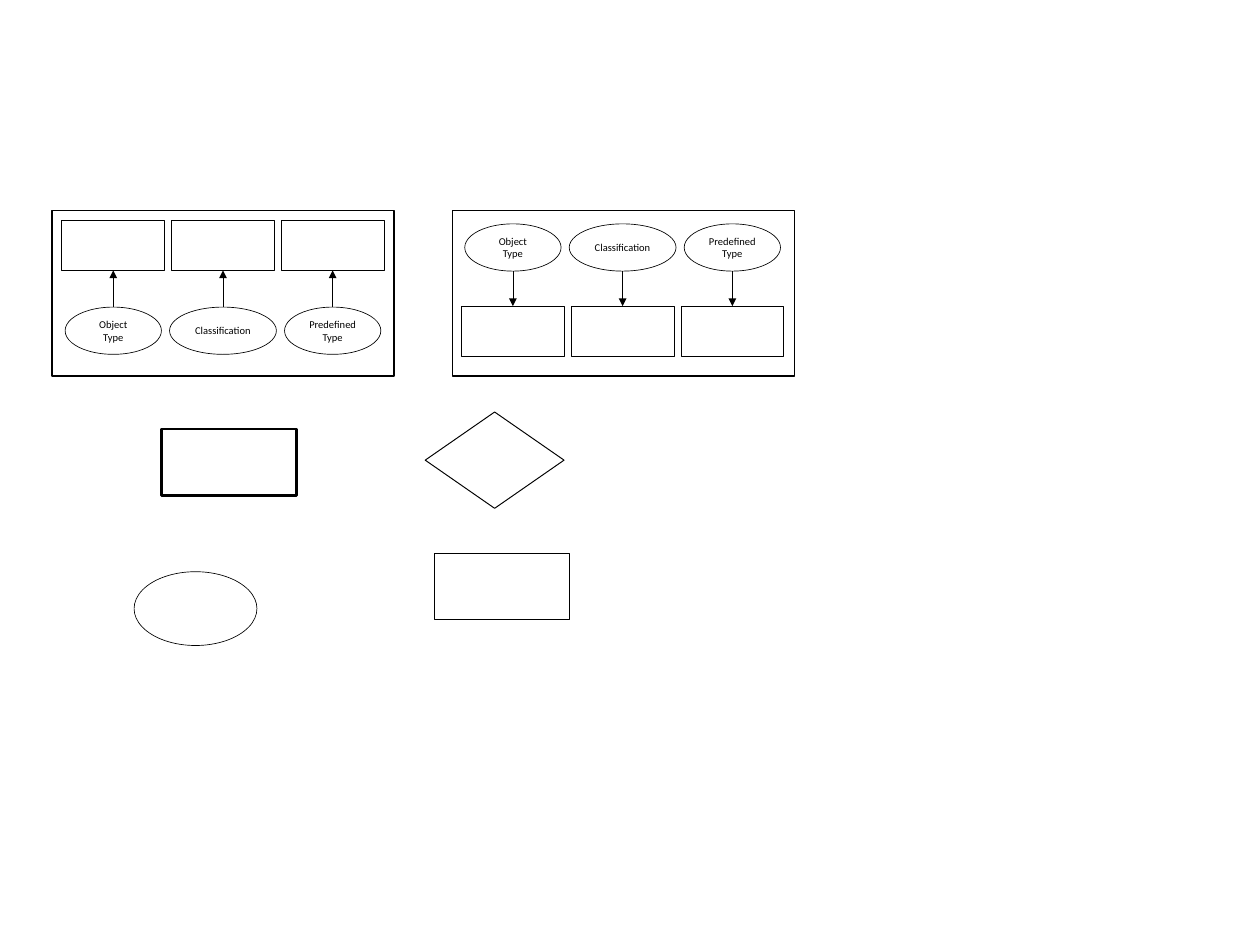
from pptx import Presentation
from pptx.dml.color import RGBColor
from pptx.enum.shapes import MSO_CONNECTOR, MSO_SHAPE
from pptx.enum.text import MSO_ANCHOR, PP_ALIGN
from pptx.oxml.ns import qn
from pptx.util import Pt
from lxml.etree import SubElement

BLACK = RGBColor(0x00, 0x00, 0x00)
WHITE = RGBColor(0xFF, 0xFF, 0xFF)

# Label and ellipse width of each column
COLUMNS = [("Object Type", 73.4), ("Classification", 81.4), ("Predefined Type", 73.4)]
COLUMN_PITCH = 83.6
ELLIPSE_H = 36
BOX_W, BOX_H = 78.5, 38.2
PANEL_W, PANEL_H = 260.6, 126


def add_outline(shapes, kind, x, y, w, h, weight=0.5, fill=WHITE):
    s = shapes.add_shape(kind, Pt(x), Pt(y), Pt(w), Pt(h))
    s.shadow.inherit = False
    if fill is None:
        s.fill.background()
    else:
        s.fill.solid()
        s.fill.fore_color.rgb = fill
    s.line.color.rgb = BLACK
    s.line.width = Pt(weight)
    return s


def add_label(s, text):
    tf = s.text_frame
    tf.word_wrap = True
    tf.vertical_anchor = MSO_ANCHOR.MIDDLE
    p = tf.paragraphs[0]
    p.alignment = PP_ALIGN.CENTER
    r = p.add_run()
    r.text = text
    r.font.name = "Calibri"
    r.font.size = Pt(8)
    r.font.color.rgb = BLACK


def add_arrow(shapes, x, y1, y2):
    c = shapes.add_connector(MSO_CONNECTOR.STRAIGHT, Pt(x), Pt(y1), Pt(x), Pt(y2))
    c.line.color.rgb = BLACK
    c.line.width = Pt(0.5)
    SubElement(c.line._get_or_add_ln(), qn("a:tailEnd"), type="triangle")
    SubElement(c._element.spPr, qn("a:effectLst"))


def add_panel(shapes, x, y, first_center, ellipse_y, box_y):
    """Frame with three ellipses, each pointing at its own box."""
    add_outline(shapes, MSO_SHAPE.RECTANGLE, x, y, PANEL_W, PANEL_H, 1, None)
    for i, (label, w) in enumerate(COLUMNS):
        center = first_center + i * COLUMN_PITCH
        s = add_outline(shapes, MSO_SHAPE.OVAL, center - w / 2, ellipse_y, w, ELLIPSE_H)
        add_label(s, label)
        add_outline(shapes, MSO_SHAPE.RECTANGLE, center - BOX_W / 2, box_y, BOX_W, BOX_H)
        if box_y < ellipse_y:
            add_arrow(shapes, center, ellipse_y, box_y + BOX_H)
        else:
            add_arrow(shapes, center, ellipse_y + ELLIPSE_H, box_y)


def main():
    prs = Presentation()
    prs.slide_width, prs.slide_height = Pt(960), Pt(720)
    shapes = prs.slides.add_slide(prs.slide_layouts[6]).shapes

    # Panels: arrows up on the left, down in the right-hand group
    add_panel(shapes, 39.6, 160.6, 86.3, 234, 167.8)
    add_panel(shapes.add_group_shape().shapes, 344.9, 160.6, 390.8, 170.6, 233.3)

    # Single symbols
    add_outline(shapes, MSO_SHAPE.RECTANGLE, 123.1, 326.9, 103, 50.4, 2.25)
    add_outline(shapes, MSO_SHAPE.DIAMOND, 324, 313.9, 105.8, 73.4, 0.75)
    add_outline(shapes, MSO_SHAPE.RECTANGLE, 331.2, 421.9, 103, 50.4)
    add_outline(shapes, MSO_SHAPE.OVAL, 102.2, 435.6, 93.6, 56.2, fill=None)

    prs.save("out.pptx")


main()
